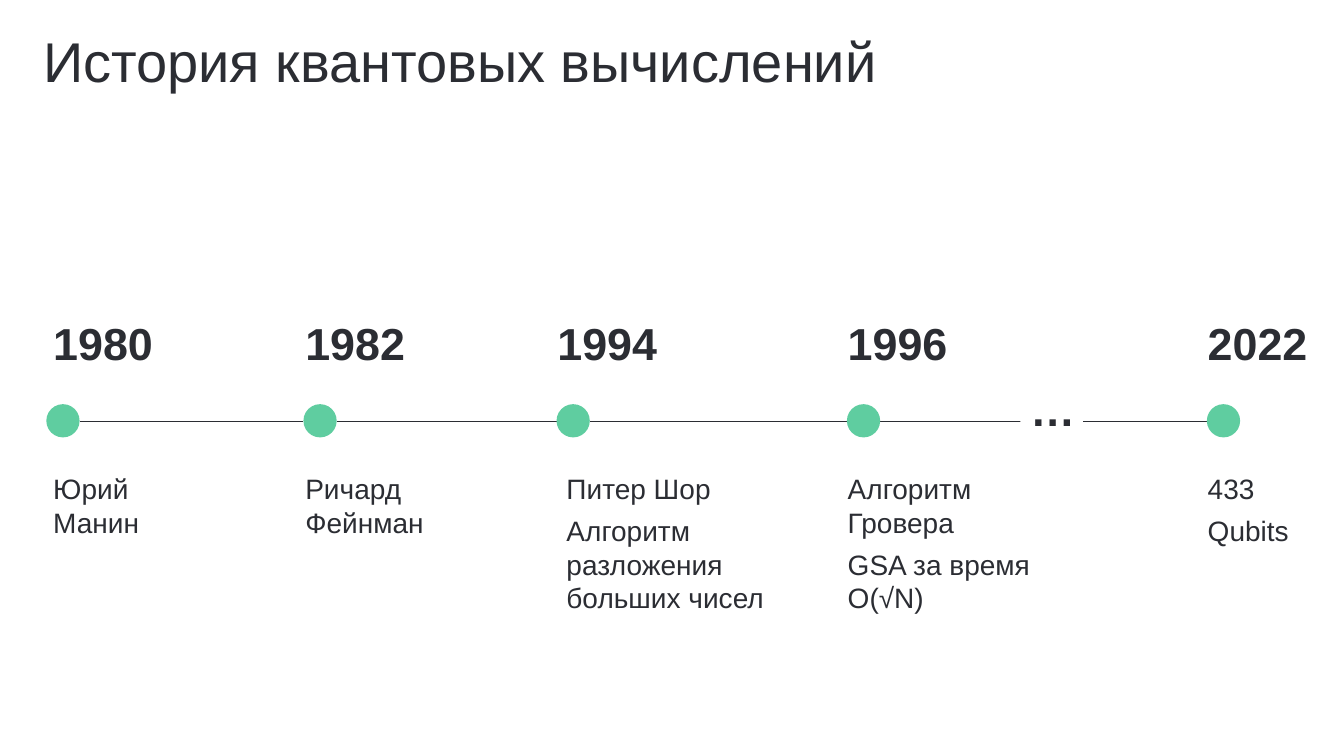
import pptx
import pptx.util
import pptx.dml.color
import pptx.enum.shapes
import pptx.enum.text
import pptx.oxml

Inches, Pt = pptx.util.Inches, pptx.util.Pt
DARK, GREEN, WHITE = "2B2D33", "5FCDA0", "FFFFFF"
TITLE = {"size": Pt(40), "bold": False}
YEAR = {"size": Pt(32), "bold": True}
BODY = {"size": Pt(20), "bold": False}
DOT = 0.33
AXIS = 4.18

MILESTONES = [
    {"year": "1980", "dot": 0.46, "year_box": (0.43, 2.3), "body_box": (0.43, 1.23),
     "body": ["Юрий Манин"]},
    {"year": "1982", "dot": 3.01, "year_box": (2.93, 2.3), "body_box": (2.93, 1.77),
     "body": ["Ричард Фейнман"]},
    {"year": "1994", "dot": 5.52, "year_box": (5.43, 2.3), "body_box": (5.52, 2.6),
     "body": ["Питер Шор", "Алгоритм разложения больших чисел"]},
    {"year": "1996", "dot": 8.4, "year_box": (8.31, 1.66), "body_box": (8.31, 2.5),
     "body": ["Алгоритм Гровера", "GSA за время O(√N)"]},
    {"year": "2022", "dot": 11.97, "year_box": (11.88, 1.29), "body_box": (11.88, 1.29),
     "body": ["433", "Qubits"]},
]


def color(value):
    """Turn a hex string into a colour."""
    return pptx.dml.color.RGBColor.from_string(value)


def write(shape, lines, font, spacing, anchor="TOP", align="LEFT"):
    """Fill a shape with one paragraph per line."""
    frame = shape.text_frame
    frame.word_wrap = True
    frame.vertical_anchor = getattr(pptx.enum.text.MSO_ANCHOR, anchor)
    for index, line in enumerate(lines):
        para = frame.paragraphs[0] if index == 0 else frame.add_paragraph()
        layout = {"alignment": getattr(pptx.enum.text.PP_ALIGN, align),
                  "line_spacing": spacing, "space_before": Pt(6 if index else 0)}
        for name, value in layout.items():
            setattr(para, name, value)
        span = para.add_run()
        span.text = line
        for name, value in {"name": "Arial", **font}.items():
            setattr(span.font, name, value)
        span.font.color.rgb = color(DARK)


def add_text(page, box, lines, font, spacing, anchor="TOP"):
    """Place a text box."""
    shape = page.shapes.add_textbox(*map(Inches, box))
    write(shape, lines, font, spacing, anchor)


def add_filled(page, kind, box, fill):
    """Place a preset shape with a plain fill and no outline."""
    shape = page.shapes.add_shape(
        getattr(pptx.enum.shapes.MSO_SHAPE, kind), *map(Inches, box))
    shape.shadow.inherit = False
    shape.fill.solid()
    shape.fill.fore_color.rgb = color(fill)
    shape.line.fill.background()
    return shape


def add_axis(page, left, right):
    """Draw one stretch of the time axis."""
    line = page.shapes.add_connector(
        pptx.enum.shapes.MSO_CONNECTOR.STRAIGHT,
        Inches(left), Inches(AXIS), Inches(right), Inches(AXIS))
    line.line.color.rgb = color(DARK)
    line.line.width = Pt(1)
    effects = pptx.oxml.parse_xml(
        '<a:effectLst xmlns:a="http://schemas.openxmlformats.org/drawingml/2006/main"/>')
    line._element.spPr.append(effects)


def add_milestone(page, milestone):
    """Place the year, dot and description of one milestone."""
    year_left, year_width = milestone["year_box"]
    body_left, body_width = milestone["body_box"]
    add_text(page, (year_left, 3.06, year_width, 0.79), [milestone["year"]], YEAR, Pt(40))
    add_text(page, (body_left, 4.63, body_width, 2.44), milestone["body"], BODY, Pt(24))
    add_filled(page, "OVAL", (milestone["dot"], 4.01, DOT, DOT), GREEN)


def add_gap(page, box):
    """Break the axis with an ellipsis."""
    gap = add_filled(page, "RECTANGLE", box, WHITE)
    write(gap, ["…"], YEAR, Pt(40), align="CENTER")


def add_timeline(page):
    """Place the axis and all milestones."""
    for earlier, later in zip(MILESTONES, MILESTONES[1:]):
        add_axis(page, earlier["dot"] + DOT, later["dot"])
    for milestone in MILESTONES:
        add_milestone(page, milestone)
    add_gap(page, (10.12, 3.72, 0.62, 0.79))


def main():
    """Build and save the deck."""
    deck = pptx.Presentation()
    deck.slide_width, deck.slide_height = Inches(13.33), Inches(7.5)
    page = deck.slides.add_slide(deck.slide_layouts[6])
    add_text(page, (0.33, 0.31, 11.59, 0.65),
             ["История квантовых вычислений"], TITLE, 0.9, "MIDDLE")
    add_timeline(page)
    deck.save("out.pptx")


if __name__ == "__main__":
    main()
